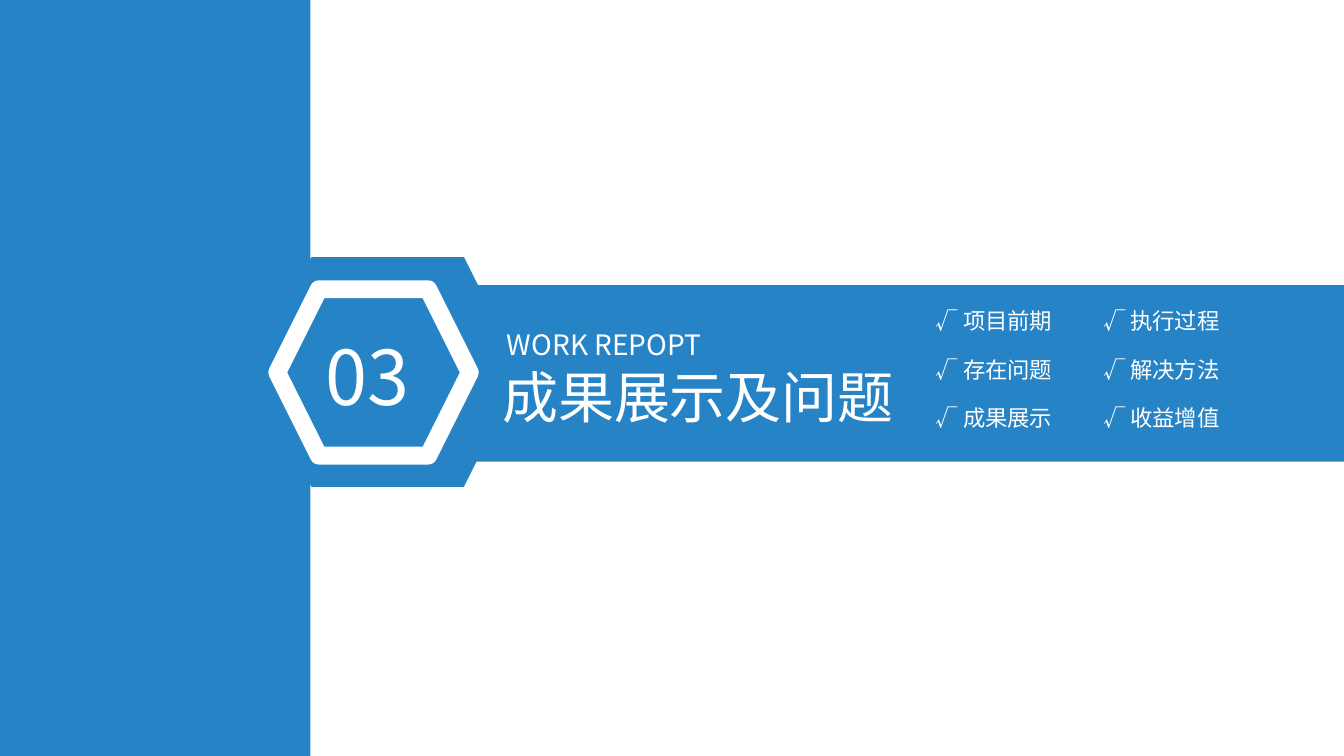
from lxml import etree
from pptx import Presentation
from pptx import util as u
from pptx.dml.color import RGBColor
from pptx.enum import shapes, text
from pptx.oxml.ns import qn

WIDE, HIGH = 13.33, 7.5
BLUE, WHITE = "2683C6", "FFFFFF"
FACE = "Noto Sans CJK SC"


def tint(code):
    return RGBColor.from_string(code)


def write(frame, lines, size=16, align=text.PP_ALIGN.LEFT, gap=0):
    """Fill a text frame with one paragraph per line."""
    frame.word_wrap = False
    frame.auto_size = text.MSO_AUTO_SIZE.NONE
    frame.vertical_anchor = text.MSO_ANCHOR.TOP
    frame.text = "\n".join(lines)
    for i, para in enumerate(frame.paragraphs):
        para.alignment = align
        para.line_spacing = 1.0
        para.space_before = u.Pt(gap if i else 0)
        props = para._p.get_or_add_pPr()
        props.set("marL", "0")
        props.set("indent", "0")
        etree.SubElement(props, qn("a:buNone"))
        for run in para.runs:
            run.font.size = u.Pt(size)
            run.font.name = FACE
            run.font.color.rgb = tint(WHITE)
            east = etree.SubElement(run._r.get_or_add_rPr(), qn("a:ea"))
            east.set("typeface", FACE)


class Deck:
    def __init__(self):
        self.prs = Presentation()
        self.prs.slide_width = u.Inches(WIDE)
        self.prs.slide_height = u.Inches(HIGH)
        # Two-content layout: a title and two lists
        self.slide = self.prs.slides.add_slide(self.prs.slide_layouts[3])

    def box(self, x, y, w, h):
        """Turn shares of the slide's size into lengths."""
        return [u.Inches(n) for n in (x * WIDE, y * HIGH, w * WIDE, h * HIGH)]

    def shape(self, kind, area, edge=0):
        item = self.slide.shapes.add_shape(kind, *self.box(*area))
        item.shadow.inherit = False
        item.fill.solid()
        item.fill.fore_color.rgb = tint(BLUE)
        if edge:
            item.line.color.rgb = tint(WHITE)
            item.line.width = u.Pt(edge)
            etree.SubElement(item.line._get_or_add_ln(), qn("a:round"))
        else:
            item.line.fill.background()

    def label(self, words, area, **style):
        item = self.slide.shapes.add_textbox(*self.box(*area))
        write(item.text_frame, [words], **style)

    def holder(self, index, lines, area, **style):
        """Place and fill a placeholder, in front of the shapes so far."""
        item = self.slide.placeholders[index]
        item.left, item.top, item.width, item.height = self.box(*area)
        write(item.text_frame, lines, **style)
        self.slide.shapes._spTree.append(item._element)


def main():
    deck = Deck()
    rect, hexa = shapes.MSO_SHAPE.RECTANGLE, shapes.MSO_SHAPE.HEXAGON

    # Blue side panel, hexagon backing and band
    deck.shape(rect, (0, 0, 0.231, 1))
    deck.shape(hexa, (0.189, 0.34, 0.199, 0.304))
    deck.shape(rect, (0.3233, 0.3773, 0.6767, 0.2333))

    # Section number in its ring
    deck.shape(hexa, (0.2063, 0.3827, 0.1433, 0.22), edge=12.75)
    deck.label("03", (0.2348, 0.4293, 0.09, 0.1347), size=54,
               align=text.PP_ALIGN.JUSTIFY)

    # Section title and English line
    deck.holder(0, ["成果展示及问题"], (0.3661, 0.4733, 0.3211, 0.1027), size=40)
    deck.label("WORK REPOPT", (0.3698, 0.4267, 0.1995, 0.0587), size=20)

    # Two check lists
    lists = [["项目前期", "存在问题", "成果展示"],
             ["执行过程", "解决方法", "收益增值"]]
    for col, names in enumerate(lists):
        deck.holder(col + 1, ["√ " + name for name in names],
                    (0.6887 + col * 0.1245, 0.4, 0.1043, 0.192), gap=15.3)

    deck.prs.save("out.pptx")


if __name__ == "__main__":
    main()
